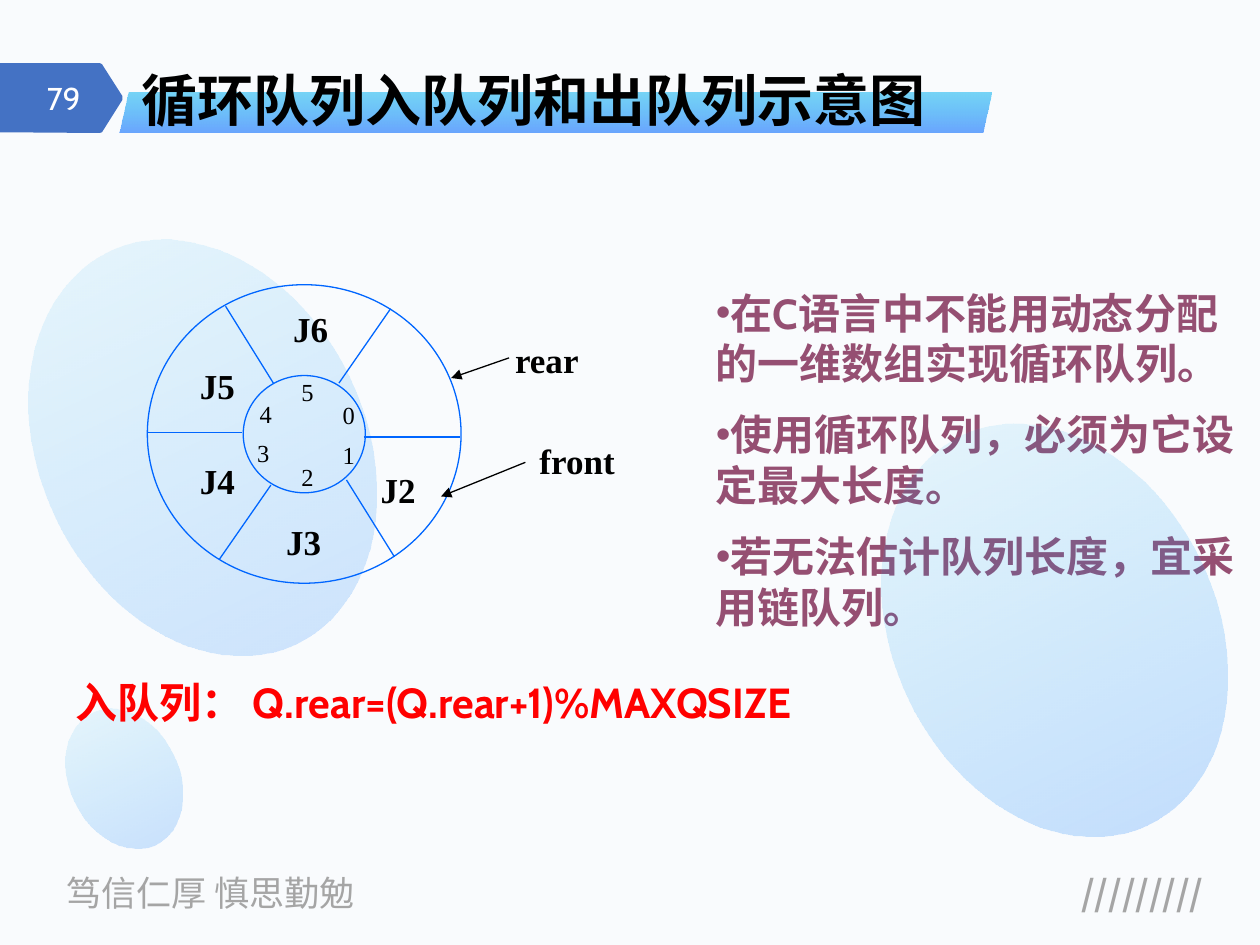
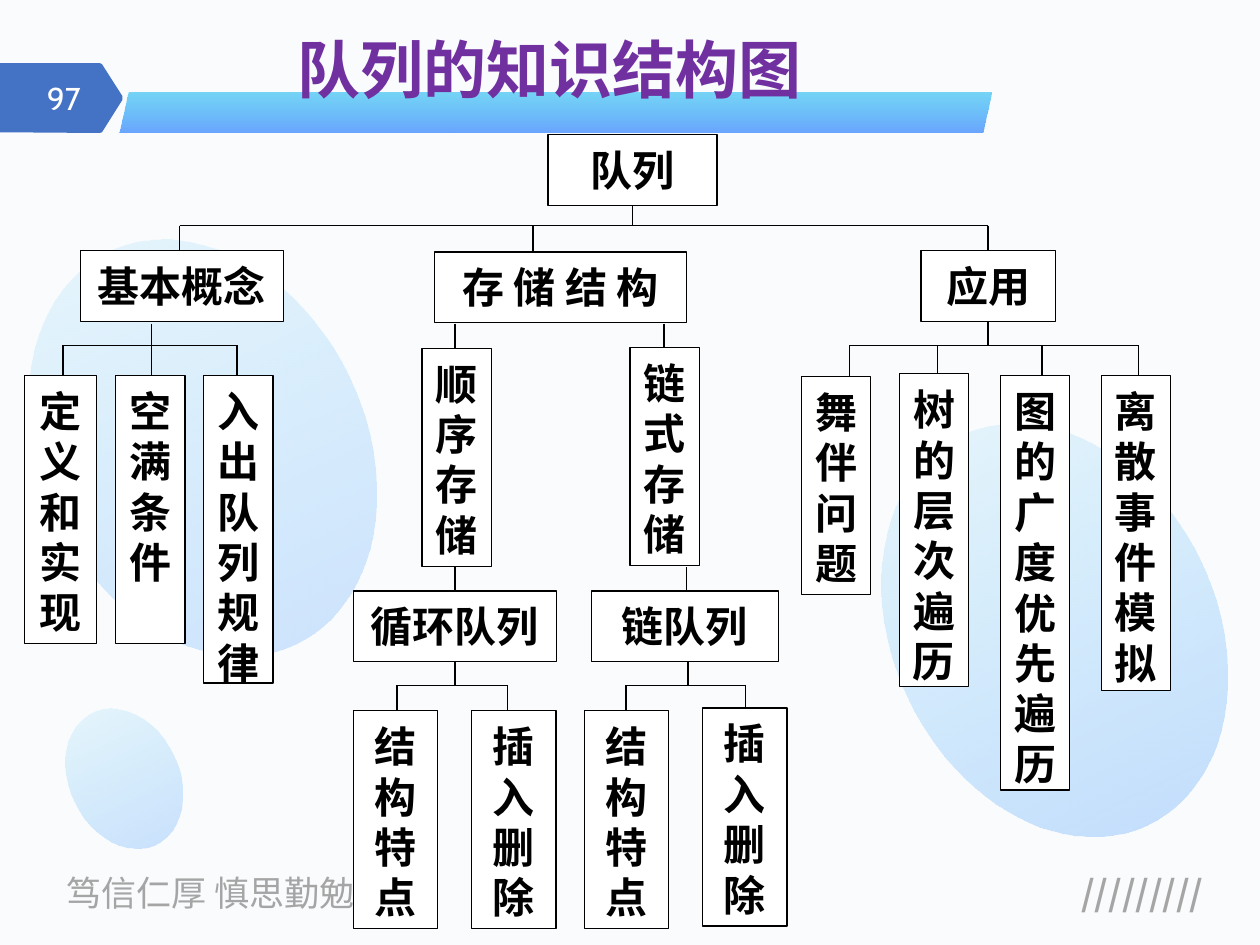
from dataclasses import dataclass

from lxml import etree
from pptx import Presentation
from pptx import util as u
from pptx.dml.color import RGBColor
from pptx.enum import shapes, text
from pptx.oxml.ns import qn

Pt = u.Pt
LEFT, CENTER, RIGHT = text.PP_ALIGN.LEFT, text.PP_ALIGN.CENTER, text.PP_ALIGN.RIGHT
TOP, MIDDLE, BOTTOM = text.MSO_ANCHOR.TOP, text.MSO_ANCHOR.MIDDLE, text.MSO_ANCHOR.BOTTOM


@dataclass(frozen=True)
class Theme:
    """Colours, fonts and type sizes of the deck."""
    page: str = "F9FBFD"
    ink: str = "000000"
    white: str = "FFFFFF"
    grey: str = "A5A5A5"
    tag: str = "4472C4"
    blue: str = "3385FF"
    cyan: str = "00B0F0"
    ring: str = "0066FF"
    plum: str = "954F72"
    purple: str = "7030A0"
    red: str = "FF0000"
    cjk: str = "Noto Sans CJK SC"
    sans: str = "Cabin"
    serif: str = "Times New Roman"
    title: float = 32
    big_title: float = 36
    body: float = 24
    label: float = 20
    number: float = 18
    digit: float = 14
    leading: float = 1.2
    rule: float = 0.75


T = Theme()


def rgb(value):
    """Return a colour from its hex value."""
    return RGBColor.from_string(value)


def apply(obj, values):
    """Set attributes of an object from a dict."""
    for name, value in values.items():
        setattr(obj, name, value)


def place(sp, box):
    """Move and size a shape in points."""
    apply(sp, dict(zip(("left", "top", "width", "height"), map(Pt, box))))


def write(sp, lines, size, color, name=T.cjk, bold=False, align=LEFT, anchor=TOP,
          wrap=True, fixed=True, before=0, bullet=None):
    """Fill a shape with formatted paragraphs."""
    tf = sp.text_frame
    apply(tf, {"word_wrap": wrap, "vertical_anchor": anchor,
               "auto_size": text.MSO_AUTO_SIZE.NONE})
    if fixed:
        apply(tf, {"margin_top": Pt(5.6), "margin_bottom": 0})
    for i, line in enumerate(lines):
        p = tf.paragraphs[0] if i == 0 else tf.add_paragraph()
        apply(p, {"alignment": align, "space_before": Pt(before if i else 0)})
        if fixed:
            p.line_spacing = Pt(size * T.leading)
        if bullet:
            pPr = p._p.get_or_add_pPr()
            apply_xml = {"marL": "0", "indent": "0"}
            for key, value in apply_xml.items():
                pPr.set(key, value)
            etree.SubElement(pPr, qn("a:buChar")).set("char", bullet)
        r = p.add_run()
        r.text = line
        apply(r.font, {"size": Pt(size), "bold": bold, "name": name})
        r.font.color.rgb = rgb(color)
        ea = etree.SubElement(r._r.get_or_add_rPr(), qn("a:ea"))
        ea.set("typeface", T.cjk)


def add_text(s, box, line, size, color, **style):
    """Add a text box with one line."""
    sp = s.shapes.add_textbox(*map(Pt, box))
    write(sp, [line], size, color, **style)


def add_label(s, line, x, y, size=T.label, bold=True):
    """Add a serif label centred on a point."""
    add_text(s, (x - 25, y - 15, 50, 30), line, size, T.ink, name=T.serif, bold=bold,
             align=CENTER, anchor=MIDDLE, wrap=False, fixed=False)


def add_shape(s, kind, box, fill=None, line=None):
    """Add a preset shape with plain fill and line."""
    sp = s.shapes.add_shape(kind, *map(Pt, box))
    sp.shadow.inherit = False
    if fill:
        sp.fill.solid()
        sp.fill.fore_color.rgb = rgb(fill)
    else:
        sp.fill.background()
    if line:
        sp.line.color.rgb = rgb(line)
        sp.line.width = Pt(T.rule)
    else:
        sp.line.fill.background()
    return sp


def shade(sp, *stops):
    """Give a shape a vertical gradient of (colour, opacity) stops."""
    sp.fill.gradient()
    sp.fill.gradient_angle = 270
    for stop, (color, opacity) in zip(sp.fill.gradient_stops, stops):
        stop.color.rgb = rgb(color)
        clr = stop._gs.find(qn("a:srgbClr"))
        etree.SubElement(clr, qn("a:alpha")).set("val", str(opacity * 1000))


def add_line(s, x1, y1, x2, y2, color=T.ink, arrow=False):
    """Add a straight line, with an arrowhead at its end if wanted."""
    c = s.shapes.add_connector(shapes.MSO_CONNECTOR.STRAIGHT, *map(Pt, (x1, y1, x2, y2)))
    c.line.color.rgb = rgb(color)
    c.line.width = Pt(T.rule)
    if arrow:
        ln = c.line._get_or_add_ln()
        etree.SubElement(ln, qn("a:tailEnd")).set("type", "triangle")
    etree.SubElement(c._element.spPr, qn("a:effectLst"))


def add_tag(s, number):
    """Add the pointed page-number tag."""
    points = [(57, 36), (58.3, 36.7), (70, 55), (70, 57), (58.3, 75.6), (57, 76), (0, 75.6)]
    fb = s.shapes.build_freeform(Pt(0), Pt(36))
    fb.add_line_segments([(Pt(x), Pt(y)) for x, y in points])
    sp = fb.convert_to_shape()
    sp.shadow.inherit = False
    sp.fill.solid()
    sp.fill.fore_color.rgb = rgb(T.tag)
    sp.line.fill.background()
    add_text(s, (7.2, 41.8, 46, 28.8), number, T.number, T.white, name=T.sans,
             align=RIGHT, anchor=MIDDLE, fixed=False)


def add_slide(prs, layout, number, title, box, size, color):
    """Add a slide with the shared decoration and its title."""
    s = prs.slides.add_slide(prs.slide_layouts[layout])
    s.background.fill.solid()
    s.background.fill.fore_color.rgb = rgb(T.page)
    add_text(s, (31, 492.5, 194.4, 31.7), "笃信仁厚 慎思勤勉", T.label, T.grey)
    add_text(s, (552.2, 492.5, 142.6, 31.7), "/////////", T.label, T.grey,
             bold=True, align=RIGHT)
    bubbles = [((39.6, 403.2, 62.6, 83.5), 24), ((510.5, 236.9, 184.3, 246.2), 27),
               ((23, 131.8, 185.8, 247.7), 22)]
    for bubble, opacity in bubbles:
        sp = add_shape(s, shapes.MSO_SHAPE.OVAL, bubble)
        shade(sp, (T.blue, opacity), (T.cyan, 8))
        sp.rotation = 154.4
    add_tag(s, number)
    band = add_shape(s, shapes.MSO_SHAPE.PARALLELOGRAM, (68.4, 52.6, 498.2, 23))
    band.adjustments[0] = 0.233
    shade(band, (T.cyan, 52), (T.blue, 73))
    sp = s.shapes.title
    place(sp, box)
    write(sp, [title], size, color, bold=True, anchor=BOTTOM)
    s.shapes._spTree.append(sp._element)
    return s


def add_wheel(s):
    """Draw the circular queue with its cells and pointers."""
    for box in ((84.2, 162.7, 179.3, 170.6), (139, 214.6, 69.8, 67)):
        add_shape(s, shapes.MSO_SHAPE.OVAL, box, line=T.ring)
    spokes = [(84.2, 247, 138.2, 247), (208, 249.8, 262.8, 249.8),
              (128.9, 175, 156.2, 218.9), (198, 274.3, 225.4, 318.2),
              (223.2, 176.4, 193.7, 218.9), (154.8, 277.2, 125.3, 319.7)]
    for spoke in spokes:
        add_line(s, *spoke, color=T.ring)
    for pointer in ((300.2, 264.2, 252, 283.7), (290.9, 204.5, 257.8, 216)):
        add_line(s, *pointer, arrow=True)
    cells = [("J2", 227.5, 279.5), ("J3", 173.5, 309.2), ("J4", 124.2, 274.3),
             ("J5", 124.2, 220.3), ("J6", 177.5, 187.9),
             ("rear", 312.5, 205.2), ("front", 329.8, 263.2)]
    for cell in cells:
        add_label(s, *cell)
    indices = [(199.4, 237), (199.4, 260), (175.7, 272.2),
               (150.5, 258.5), (151.9, 236.2), (175.7, 224)]
    for i, (x, y) in enumerate(indices):
        add_label(s, str(i), x, y, T.digit, False)


def add_node(s, label, *box):
    """Add a box of the knowledge tree."""
    sp = add_shape(s, shapes.MSO_SHAPE.RECTANGLE, box, T.white, T.ink)
    write(sp, label.split("\n"), T.body, T.ink, name=T.serif, bold=True, align=CENTER)


def add_branch(s, x, top, bus, bottom, drops):
    """Join a parent to its children with a stem, a bus and drops."""
    add_line(s, x, top, x, bus)
    add_line(s, drops[0], bus, drops[-1], bus)
    for drop in drops:
        add_line(s, drop, bus, drop, bottom)


def build_queue_slide(prs):
    """Build the slide on the circular queue."""
    s = add_slide(prs, 1, "79", "循环队列入队列和出队列示意图",
                  (73.4, 28.8, 493.2, 46.8), T.title, T.ink)
    add_wheel(s)
    add_text(s, (36, 380.9, 550.8, 36), "入队列： Q.rear=(Q.rear+1)%MAXQSIZE",
             T.body, T.red, name=T.sans, bold=True)
    body = s.placeholders[1]
    place(body, (401.8, 158.4, 318.2, 249.8))
    body.text_frame.margin_right = 0
    notes = ["在C语言中不能用动态分配的一维数组实现循环队列。",
             "使用循环队列，必须为它设定最大长度。",
             "若无法估计队列长度，宜采用链队列。"]
    write(body, notes, T.body, T.plum, name=T.sans, bold=True, before=12, bullet="•")


def build_tree_slide(prs):
    """Build the slide with the knowledge tree."""
    s = add_slide(prs, 5, "97", "队列的知识结构图",
                  (162.7, 0, 362.2, 60.5), T.big_title, T.purple)
    branches = [(361.4, 116.6, 129, 143.3, (102.6, 304.6, 564.5)),
                (86.4, 185, 197.3, 214.6, (36, 86.4, 135.4)),
                (564.5, 184, 197.3, 214.6, (485.3, 535.7, 595.4, 650.5)),
                (260, 378, 391.7, 406, (226.8, 290.2)),
                (393.1, 378, 391.7, 406, (357.8, 426.2))]
    for branch in branches:
        add_branch(s, *branch)
    for x, top, bottom in ((260, 185, 198.7), (379.4, 185, 198.7),
                           (260, 324, 337.7), (392.4, 324, 337.7)):
        add_line(s, x, top, x, bottom)
    row, col, tall, wide = 40.3, 39.6, 124.6, 48.2
    nodes = [("队列", 313.2, 77, 96.5, row),
             ("基本概念", 46, 143.3, 116, row),
             ("存 储 结 构", 248.4, 144, 144, row),
             ("应用", 526.3, 143.3, 77, row),
             ("顺序存储", 241.2, 199, col, tall),
             ("链式存储", 360, 198.7, col, tall),
             ("循环队列", 202, 337.7, 116, row),
             ("链队列", 338.1, 337.7, 106.6, row),
             ("结构特点", 202, 406.2, wide, tall),
             ("插入删除", 269.6, 406.2, wide, tall),
             ("结构特点", 334, 406.2, wide, tall),
             ("插入删除", 401.6, 404.6, wide, tall),
             ("定义\n和实现", 14.2, 214.6, 41, 153),
             ("空满条件", 66.2, 214.6, col, 153),
             ("入出\n队列规律", 116.4, 214.6, col, 175.7),
             ("舞伴问题", 458, 215.3, col, tall),
             ("树的层次遍历", 513.9, 213.6, col, 178.6),
             ("图的广度优先遍历", 571.7, 214.6, col, 236.9),
             ("离散事件模拟", 629.3, 214.6, col, 180)]
    for node in nodes:
        add_node(s, *node)


def main():
    """Build and save the deck."""
    prs = Presentation()
    apply(prs, {"slide_width": Pt(720), "slide_height": Pt(540)})
    build_queue_slide(prs)
    build_tree_slide(prs)
    prs.save("out.pptx")


if __name__ == "__main__":
    main()
